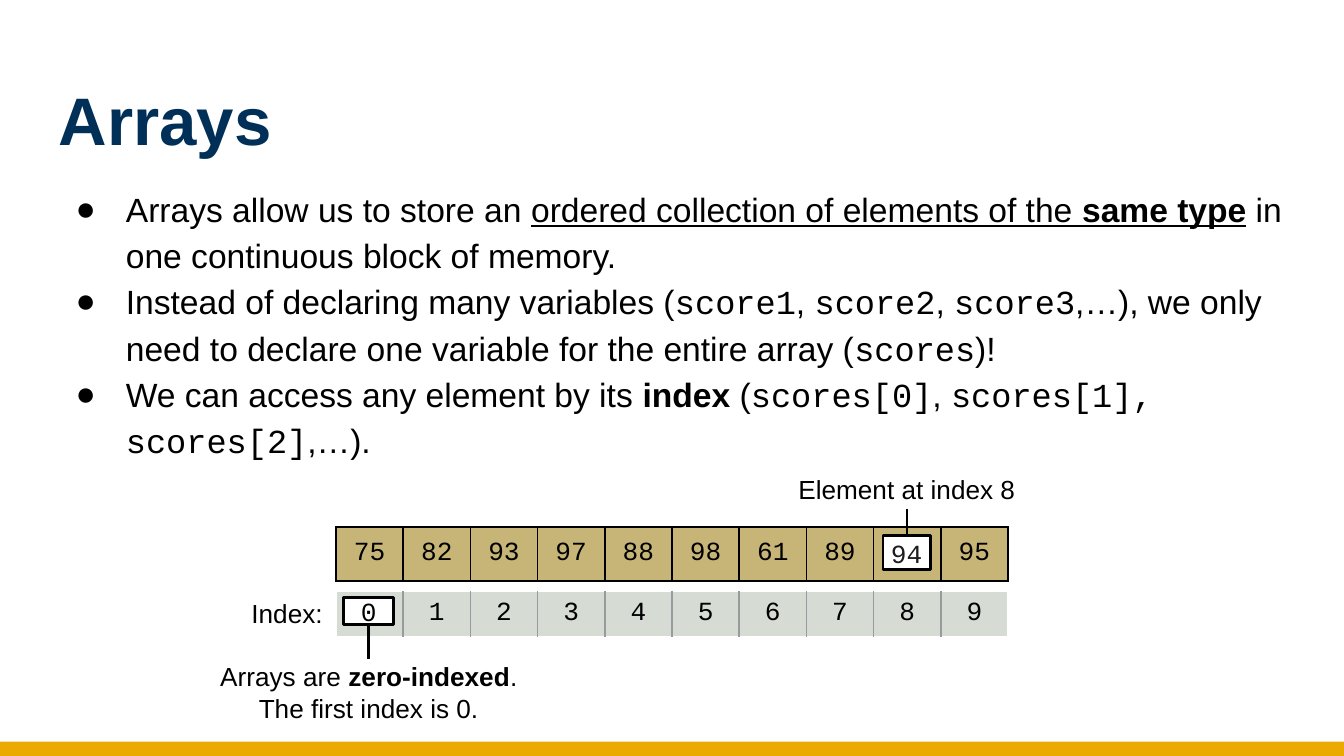
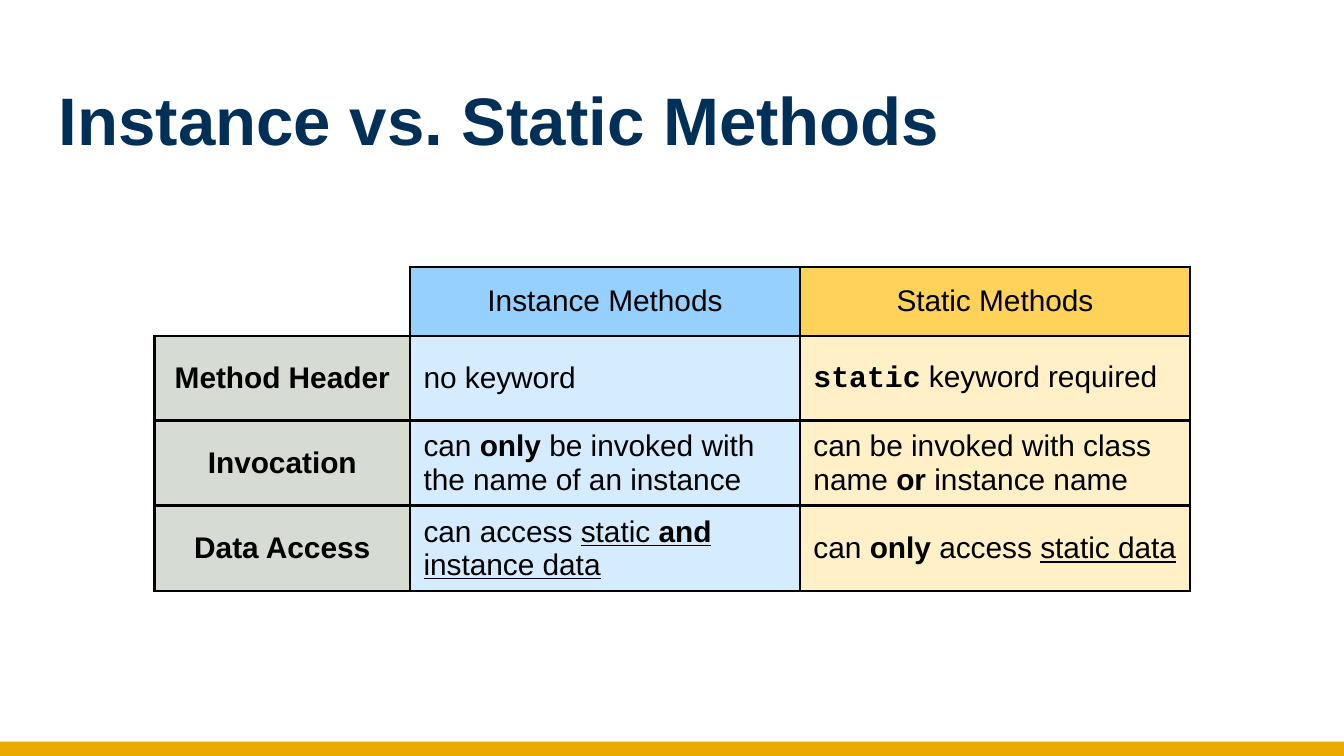
from lxml.etree import SubElement
from pptx import Presentation
from pptx.dml.color import RGBColor
from pptx.enum.shapes import MSO_CONNECTOR, MSO_SHAPE
from pptx.enum.text import MSO_ANCHOR, PP_ALIGN
from pptx.oxml.ns import qn
from pptx.util import Cm, Pt

NAVY, GOLD, BLACK, WHITE = "003057", "EAAA00", "000000", "FFFFFF"
TAN, SILVER, GREY = "C6B576", "D6DBD4", "979B9E"
SANS, MONO = "Arial", "Courier New"
rgb = RGBColor.from_string


def write_text(frame, paragraphs, size, font=SANS, color=BLACK, align=PP_ALIGN.LEFT, bold=False, bullet=False):
    for index, runs in enumerate(paragraphs):
        paragraph = frame.add_paragraph() if index else frame.paragraphs[0]
        if bullet:
            properties = paragraph._p.get_or_add_pPr()
            properties.set("marL", str(Cm(1.27)))
            properties.set("indent", str(Cm(-0.95)))
            SubElement(SubElement(properties, qn("a:buClr")), qn("a:srgbClr"), val=color)
            SubElement(properties, qn("a:buFont"), typeface=SANS)
            SubElement(properties, qn("a:buChar"), char="●")
            paragraph.line_spacing = 1.15
        paragraph.alignment = align
        paragraph.font.name = font
        paragraph.font.size = Pt(size)
        paragraph.font.bold = bold
        paragraph.font.color.rgb = rgb(color)
        for text, marks in runs:
            run = paragraph.add_run()
            run.text = text
            if "b" in marks:
                run.font.bold = True
            if "u" in marks:
                run.font.underline = True
            if "m" in marks:
                run.font.name = MONO


def style_cell(cell, fill, width, left, right, top, bottom):
    properties = cell._tc.get_or_add_tcPr()
    for side, color in zip("LRTB", (left, right, top, bottom)):
        line = SubElement(properties, qn(f"a:ln{side}"), w=str(Pt(width)))
        SubElement(SubElement(line, qn("a:solidFill")), qn("a:srgbClr"), val=color)
    if fill:
        cell.fill.solid()
        cell.fill.fore_color.rgb = rgb(fill)
    else:
        cell.fill.background()
    cell.vertical_anchor = MSO_ANCHOR.MIDDLE


presentation = Presentation()
presentation.slide_width = Cm(25.4)
presentation.slide_height = Cm(14.29)
blank_layout = presentation.slide_layouts[6]
arrays_slide = presentation.slides.add_slide(blank_layout)
methods_slide = presentation.slides.add_slide(blank_layout)

for slide in presentation.slides:
    band = slide.shapes.add_shape(MSO_SHAPE.RECTANGLE, 0, Cm(14.02), Cm(25.4), Cm(0.27))
    band.shadow.inherit = False
    band.fill.solid()
    band.fill.fore_color.rgb = rgb(GOLD)
    band.line.fill.background()

array_points = [
    [("Arrays allow us to store an ", ""), ("ordered collection of elements of the ", "u"),
     ("same type", "bu"), (" in one continuous block of memory.", "")],
    [("Instead of declaring many variables (", ""), ("score1", "m"), (", ", ""), ("score2", "m"),
     (", ", ""), ("score3", "m"), (",…), we only need to declare one variable for the entire array (", ""),
     ("scores", "m"), (")!", "")],
    [("We can access any element by its ", ""), ("index", "b"), (" (", ""), ("scores[0]", "m"),
     (", ", ""), ("scores[1], scores[2]", "m"), (",…).", "")],
]
title_style = {"size": 36, "color": NAVY, "bold": True}
for slide, top, height, paragraphs, style in [
    (arrays_slide, 1.24, 1.96, [[("Arrays", "")]], title_style),
    (methods_slide, 1.24, 1.96, [[("Instance vs. Static Methods", "")]], title_style),
    (arrays_slide, 3.2, 5.87, array_points, {"size": 18, "bullet": True}),
]:
    frame = slide.shapes.add_textbox(Cm(0.86), Cm(top), Cm(23.68), Cm(height)).text_frame
    frame.word_wrap = True
    frame.margin_left = frame.margin_right = frame.margin_top = frame.margin_bottom = Cm(0.25)
    write_text(frame, paragraphs, **style)

scores = ["75", "82", "93", "97", "88", "98", "61", "89", "", "95"]
indexes = [str(index) for index in range(10)]
for values, top, height, fill, inner, outer, edge in [
    (scores, 9.96, 1.02, TAN, BLACK, BLACK, BLACK),
    (indexes, 11.18, 0.76, SILVER, GREY, WHITE, WHITE),
]:
    table = arrays_slide.shapes.add_table(1, 10, Cm(6.35), Cm(top), Cm(12.7), Cm(height)).table
    table.first_row = table.horz_banding = False
    for column, value in enumerate(values):
        cell = table.cell(0, column)
        left = outer if column == 0 else inner
        right = outer if column == 9 else inner
        style_cell(cell, fill, 0.96, left, right, edge, edge)
        write_text(cell.text_frame, [[(value, "")] if value else []], 14, font=MONO, align=PP_ALIGN.CENTER)

for left, top, width, height, align, paragraphs in [
    (4.19, 11.07, 2.16, 1.02, PP_ALIGN.RIGHT, [[("Index:", "")]]),
    (14.55, 8.86, 5.18, 0.76, PP_ALIGN.CENTER, [[("Element at index 8", "")]]),
    (3.68, 12.45, 6.58, 1.27, PP_ALIGN.CENTER,
     [[("Arrays are ", ""), ("zero-indexed", "b"), (".", "")], [("The first index is 0.", "")]]),
]:
    frame = arrays_slide.shapes.add_textbox(Cm(left), Cm(top), Cm(width), Cm(height)).text_frame
    frame.word_wrap = True
    frame.vertical_anchor = MSO_ANCHOR.MIDDLE
    write_text(frame, paragraphs, 14, align=align)

for value, color, left, top, width, height, line_x, line_start, line_end in [
    ("94", "1C1C1C", 16.69, 10.13, 0.89, 0.64, 17.14, 10.13, 9.63),
    ("0", BLACK, 6.5, 11.3, 0.94, 0.51, 6.96, 11.81, 12.45),
]:
    marker = arrays_slide.shapes.add_shape(MSO_SHAPE.RECTANGLE, Cm(left), Cm(top), Cm(width), Cm(height))
    marker.shadow.inherit = False
    marker.fill.solid()
    marker.fill.fore_color.rgb = rgb(WHITE)
    frame = marker.text_frame
    frame.margin_left = frame.margin_right = 0
    frame.vertical_anchor = MSO_ANCHOR.MIDDLE
    write_text(frame, [[(value, "")]], 14, font=MONO, color=color, align=PP_ALIGN.CENTER)
    pointer = arrays_slide.shapes.add_connector(
        MSO_CONNECTOR.STRAIGHT, Cm(line_x), Cm(line_start), Cm(line_x), Cm(line_end))
    for outline in (marker.line, pointer.line):
        outline.color.rgb = rgb(BLACK)
        outline.width = Pt(1.5)
    SubElement(pointer._element.spPr, qn("a:effectLst"))

comparison = [
    [[], [("Instance Methods", "")], [("Static Methods", "")]],
    [[("Method Header", "")], [("no keyword", "")], [("static", "bm"), (" keyword required", "")]],
    [[("Invocation", "")],
     [("can ", ""), ("only", "b"), (" be invoked with the name of an instance", "")],
     [("can be invoked with class name ", ""), ("or ", "b"), ("instance name", "")]],
    [[("Data Access", "")],
     [("can access ", ""), ("static ", "u"), ("and", "bu"), (" instance data", "u")],
     [("can ", ""), ("only ", "b"), ("access ", ""), ("static data", "u")]],
]
header_fills = [None, "95D0FF", "FFD259"]
body_fills = [SILVER, "D5ECFF", "FFF0C8"]
table = methods_slide.shapes.add_table(4, 3, Cm(2.92), Cm(5.05), Cm(19.57), Cm(6.1)).table
table.first_row = table.horz_banding = False
for column, width in enumerate([4.83, 7.37, 7.37]):
    table.columns[column].width = Cm(width)
for row, height in enumerate([1.3, 1.6, 1.6, 1.6]):
    table.rows[row].height = Cm(height)
    fills = body_fills if row else header_fills
    for column, runs in enumerate(comparison[row]):
        cell = table.cell(row, column)
        edge = BLACK if row or column else WHITE
        style_cell(cell, fills[column], 1.47, edge, BLACK, edge, BLACK)
        align = PP_ALIGN.LEFT if row and column else PP_ALIGN.CENTER
        write_text(cell.text_frame, [runs], 16, align=align, bold=column == 0)

presentation.save("out.pptx")
